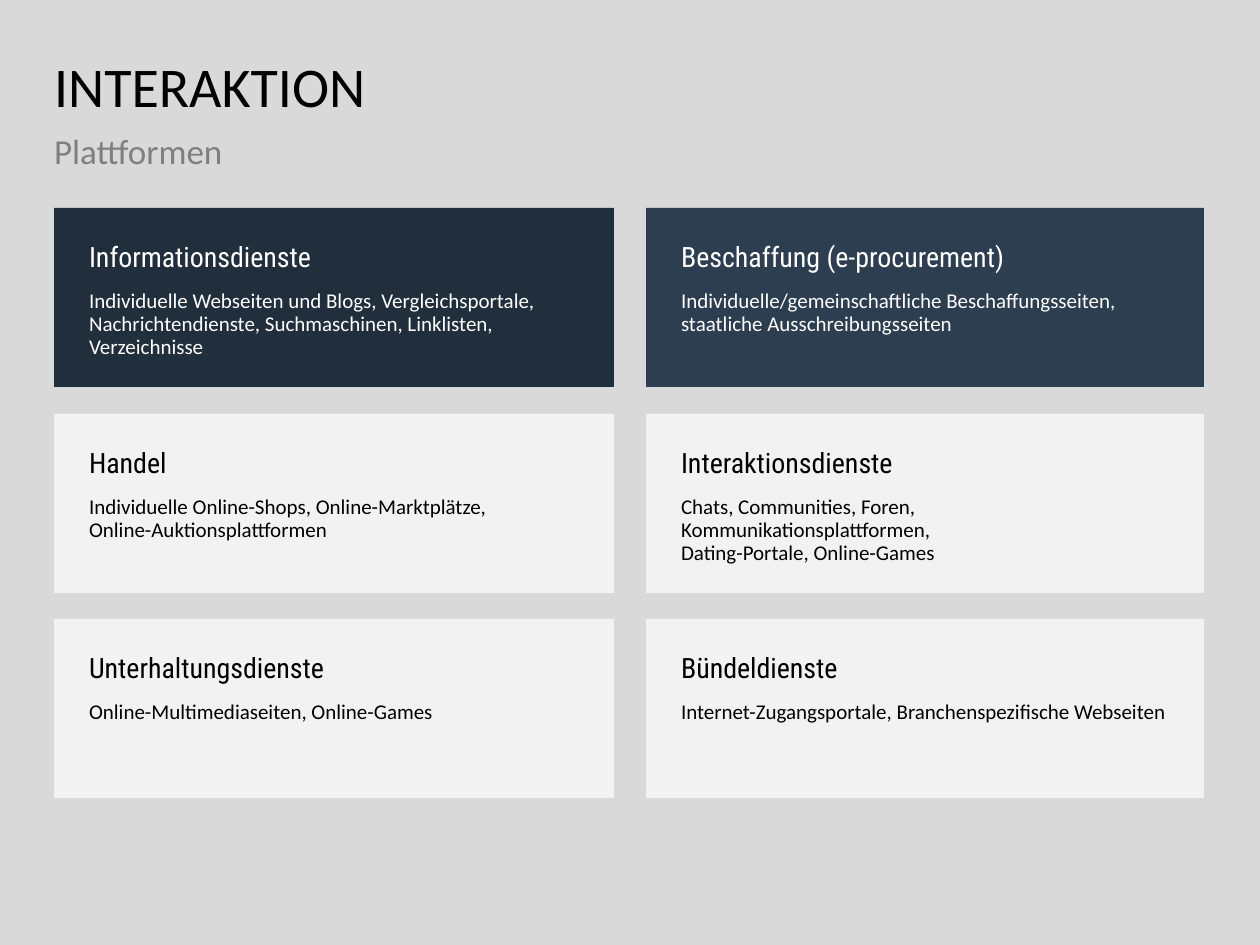
from pptx import Presentation
from pptx.dml.color import RGBColor
from pptx.enum.shapes import MSO_SHAPE
from pptx.enum.text import MSO_ANCHOR, PP_ALIGN
from pptx.util import Pt

PX = 914400 / 126
THEME = {
    "bg": "D9D9D9", "navy": "212E3C", "blue": "2C3E50", "light": "F2F2F2",
    "black": "000000", "white": "FFFFFF", "grey": "7F7F7F",
    "body": "Calibri", "head": "Roboto Condensed",
    "title_pt": 32, "subtitle_pt": 20, "head_pt": 16, "body_pt": 12,
}


def px(n):
    return round(n * PX)


def add_text(tf, text, *, size, color, font="body", after=0, new=False):
    """Write one paragraph; a newline in the text becomes a line break."""
    p = tf.add_paragraph() if new else tf.paragraphs[0]
    p.text = text
    p.alignment = PP_ALIGN.LEFT
    p.line_spacing = 0.9
    p.space_after = Pt(after)
    for r in p.runs:
        r.font.name = THEME[font]
        r.font.size = Pt(THEME[size])
        r.font.color.rgb = RGBColor.from_string(THEME[color])


prs = Presentation()
prs.slide_width, prs.slide_height = px(1260), px(945)
s = prs.slides.add_slide(prs.slide_layouts[6])
s.background.fill.solid()
s.background.fill.fore_color.rgb = RGBColor.from_string(THEME["bg"])

# Title and subtitle
for text, top, height, size, color in (
    ("INTERAKTION", 59, 75, "title_pt", "black"),
    ("Plattformen", 134, 74, "subtitle_pt", "grey"),
):
    tf = s.shapes.add_textbox(px(54), px(top), px(762), px(height)).text_frame
    tf.word_wrap = True
    tf.margin_left = tf.margin_right = tf.margin_top = tf.margin_bottom = 0
    add_text(tf, text, size=size, color=color)

# Cards, row by row in two columns
columns = ((54, 560), (646, 558))
row_tops = (208, 414, 619)
cards = (
    ("Informationsdienste",
     "Individuelle Webseiten und Blogs, Vergleichsportale, "
     "Nachrichtendienste, Suchmaschinen, Linklisten, Verzeichnisse",
     "navy", "white"),
    ("Beschaffung (e-procurement)",
     "Individuelle/gemeinschaftliche Beschaffungsseiten, \n"
     "staatliche Ausschreibungsseiten",
     "blue", "white"),
    ("Handel",
     "Individuelle Online-Shops, Online-Marktplätze, \n"
     "Online-Auktionsplattformen",
     "light", "black"),
    ("Interaktionsdienste",
     "Chats, Communities, Foren, Kommunikationsplattformen, \n"
     "Dating-Portale, Online-Games",
     "light", "black"),
    ("Unterhaltungsdienste", "Online-Multimediaseiten, Online-Games",
     "light", "black"),
    ("Bündeldienste", "Internet-Zugangsportale, Branchenspezifische Webseiten",
     "light", "black"),
)
for i, (head, body, fill, color) in enumerate(cards):
    left, width = columns[i % 2]
    sp = s.shapes.add_shape(MSO_SHAPE.RECTANGLE, px(left), px(row_tops[i // 2]),
                            px(width), px(179))
    sp.shadow.inherit = False
    sp.fill.solid()
    sp.fill.fore_color.rgb = RGBColor.from_string(THEME[fill])
    sp.line.fill.background()
    tf = sp.text_frame
    tf.word_wrap = True
    tf.vertical_anchor = MSO_ANCHOR.TOP
    tf.margin_left = tf.margin_top = tf.margin_bottom = px(35)
    tf.margin_right = px(36)
    add_text(tf, head, size="head_pt", color=color, font="head", after=10)
    add_text(tf, body, size="body_pt", color=color, after=10, new=True)

prs.save("out.pptx")
